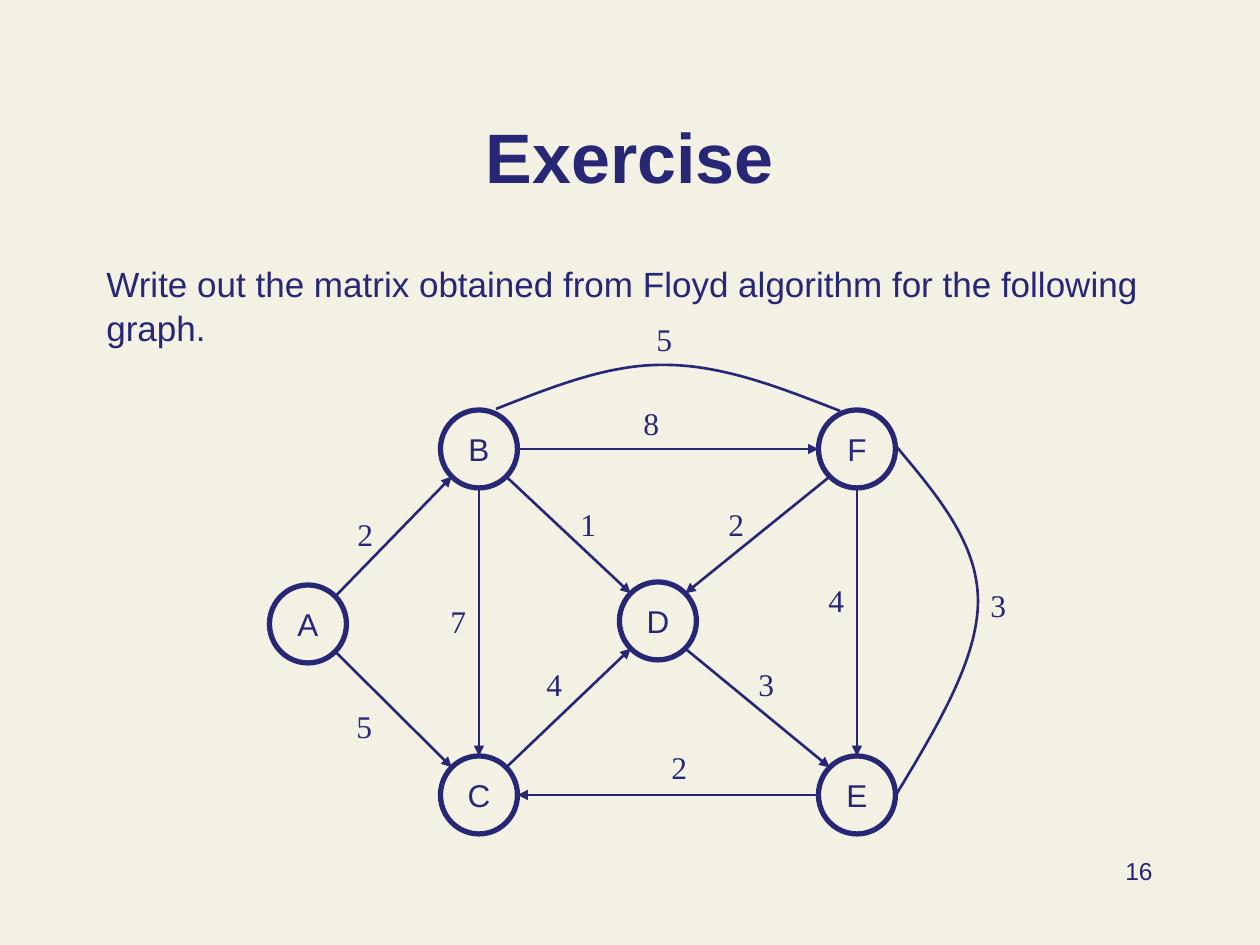
from math import sqrt
from lxml.etree import SubElement
from pptx import Presentation
from pptx.dml.color import RGBColor
from pptx.enum.shapes import MSO_CONNECTOR, MSO_SHAPE
from pptx.enum.text import MSO_ANCHOR, PP_ALIGN
from pptx.oxml.ns import qn
from pptx.util import Pt

SCALE = 914400 / 126
NAVY, CREAM = "272776", "F3F1E4"
NODE_W, NODE_H = 77, 78
CURVE_STEPS = 32

NODES = {
    "A": (308, 624), "B": (479, 449), "C": (479, 795),
    "D": (658, 621), "F": (857, 449), "E": (857, 795),
}
EDGES = [
    ("A", "B", "2", 345, 509), ("A", "C", "5", 344, 701),
    ("B", "C", "7", 438, 596), ("B", "F", "8", 631, 398),
    ("B", "D", "1", 568, 499), ("F", "D", "2", 716, 499),
    ("C", "D", "4", 534, 659), ("D", "E", "3", 746, 659),
    ("E", "C", "2", 659, 742), ("F", "E", "4", 816, 575),
]
ARCS = [
    ([(896, 795), (937, 727), (978, 659), (978, 601),
      (978, 543), (937, 495), (896, 446)], "3", 978, 580),
    ([(840, 411), (781, 388), (723, 365), (665, 365),
      (609, 364), (552, 387), (496, 409)], "5", 644, 314),
]

TITLE = {"name": "Arial", "size": Pt(40), "bold": True}
BODY = {"name": "Arial", "size": Pt(20)}
NODE = {"name": "Arial", "size": Pt(18)}
WEIGHT = {"name": "Times New Roman", "size": Pt(18)}
NUMBER = {"name": "Arial", "size": Pt(14)}


def px(n):
    """Turn pixels into EMU."""
    return round(n * SCALE)


def rgb(value):
    """Turn a hex string into a colour."""
    return RGBColor.from_string(value)


def write(sp, text, fmt, align=PP_ALIGN.LEFT, anchor=MSO_ANCHOR.TOP, wrap=True):
    """Write one formatted paragraph into a shape and return it."""
    tf = sp.text_frame
    tf.word_wrap, tf.vertical_anchor = wrap, anchor
    p = tf.paragraphs[0]
    p.alignment = align
    r = p.add_run()
    r.text = text
    for key, value in fmt.items():
        setattr(r.font, key, value)
    r.font.color.rgb = rgb(NAVY)
    return p


def add_text(s, box, text, fmt, **layout):
    """Add a text box and return its paragraph."""
    return write(s.shapes.add_textbox(*map(px, box)), text, fmt, **layout)


def set_line(sp, width):
    """Give a shape or connector a navy line."""
    sp.line.color.rgb = rgb(NAVY)
    sp.line.width = Pt(width)


def add_node(s, name, x, y):
    """Add a lettered circle around a centre."""
    box = (x - NODE_W / 2, y - NODE_H / 2, NODE_W, NODE_H)
    sp = s.shapes.add_shape(MSO_SHAPE.OVAL, *map(px, box))
    sp.shadow.inherit = False
    sp.fill.solid()
    sp.fill.fore_color.rgb = rgb(CREAM)
    set_line(sp, 3)
    write(sp, name, NODE, PP_ALIGN.CENTER, MSO_ANCHOR.MIDDLE, wrap=False)


def rim_point(start, end):
    """Find the point on the start node's rim, of eight, that faces the end node."""
    (x, y), (x2, y2) = NODES[start], NODES[end]
    sx, sy = (x2 > x) - (x2 < x), (y2 > y) - (y2 < y)
    k = 1 / sqrt(2) if sx and sy else 1
    return px(x + sx * k * NODE_W / 2), px(y + sy * k * NODE_H / 2)


def add_edge(s, start, end):
    """Add a straight arrow between two nodes."""
    sp = s.shapes.add_connector(
        MSO_CONNECTOR.STRAIGHT, *rim_point(start, end), *rim_point(end, start))
    set_line(sp, 1.5)
    SubElement(sp.line._get_or_add_ln(), qn("a:tailEnd"), type="triangle")
    SubElement(sp._element.spPr, qn("a:effectLst"))


def bezier(points, t):
    """Find the point at t on a cubic curve."""
    weights = ((1 - t) ** 3, 3 * t * (1 - t) ** 2, 3 * t ** 2 * (1 - t), t ** 3)
    return tuple(px(sum(w * c for w, c in zip(weights, axis))) for axis in zip(*points))


def add_arc(s, points):
    """Add an open curve through two joined cubic segments."""
    curve = [bezier(points[i:i + 4], n / CURVE_STEPS)
             for i in (0, 3) for n in range(1, CURVE_STEPS + 1)]
    fb = s.shapes.build_freeform(*map(px, points[0]))
    fb.add_line_segments(curve, close=False)
    sp = fb.convert_to_shape()
    sp.shadow.inherit = False
    sp.fill.background()
    set_line(sp, 1.5)


def add_weight(s, text, x, y):
    """Add the number beside an edge."""
    add_text(s, (x, y, 42, 50), text, WEIGHT)


def main():
    """Build the slide and save it."""
    prs = Presentation()
    prs.slide_width, prs.slide_height = px(1260), px(945)
    s = prs.slides.add_slide(prs.slide_layouts[6])
    s.background.fill.solid()
    s.background.fill.fore_color.rgb = rgb(CREAM)

    add_text(s, (94, 68, 1071, 136), "Exercise", TITLE,
             align=PP_ALIGN.CENTER, anchor=MSO_ANCHOR.BOTTOM)
    p = add_text(s, (94, 254, 1071, 576),
                 "Write out the matrix obtained from Floyd algorithm "
                 "for the following graph.", BODY)
    p.line_spacing = 1.05
    for name, centre in NODES.items():
        add_node(s, name, *centre)
    for start, end, *weight in EDGES:
        add_edge(s, start, end)
        add_weight(s, *weight)
    for points, *weight in ARCS:
        add_arc(s, points)
        add_weight(s, *weight)
    add_text(s, (903, 850, 262, 63), "16", NUMBER, align=PP_ALIGN.RIGHT)
    prs.save("out.pptx")


if __name__ == "__main__":
    main()
